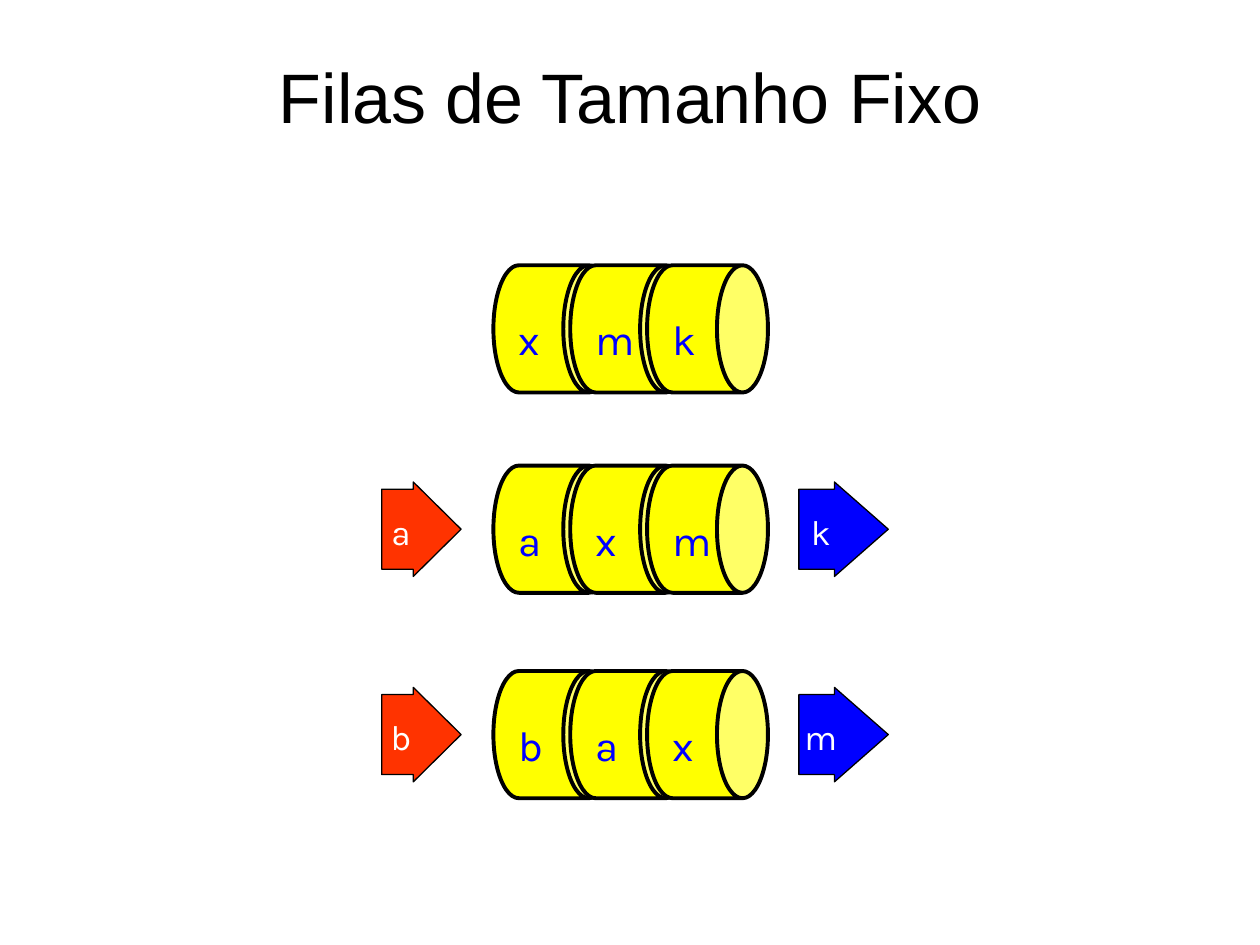
from pptx import Presentation
from pptx.dml.color import RGBColor
from pptx.enum.shapes import MSO_SHAPE
from pptx.enum.text import MSO_ANCHOR, PP_ALIGN
from pptx.util import Inches, Pt

BLACK = RGBColor(0, 0, 0)
WHITE = RGBColor(255, 255, 255)
YELLOW = RGBColor(255, 255, 0)
BLUE = RGBColor(0, 0, 255)
RED = RGBColor(255, 51, 0)

CAN_LEFT, CAN_STEP, CAN_W, CAN_H = 3.89, 0.61, 1.01, 0.96
ARROW_H = 0.75
QUEUES = [
    (2.61, "xmk", None, None),
    (4.2, "axm", "a", "k"),
    (5.83, "bax", "b", "m"),
]


def write(frame, text, size, font, color, space=None):
    frame.vertical_anchor = MSO_ANCHOR.MIDDLE
    para = frame.paragraphs[0]
    para.alignment = PP_ALIGN.CENTER
    para.line_spacing = space
    run = para.add_run()
    run.text = text
    run.font.size = Pt(size)
    run.font.name = font
    run.font.color.rgb = color


def add_title(slide, text):
    box = slide.shapes.add_textbox(Inches(0.5), Inches(0.17), Inches(9), Inches(1.17))
    box.text_frame.word_wrap = True
    write(box.text_frame, text, 40, "Arial", BLACK)


def add_block(shapes, kind, left, mid, width, height, adjust, fill, line):
    shape = shapes.add_shape(
        kind, Inches(left), Inches(mid - height / 2), Inches(width), Inches(height)
    )
    for index, value in enumerate(adjust):
        shape.adjustments[index] = value
    shape.shadow.inherit = False
    shape.fill.solid()
    shape.fill.fore_color.rgb = fill
    shape.line.color.rgb = BLACK
    shape.line.width = Pt(line)
    return shape


def add_can(shapes, left, mid, text):
    can = add_block(shapes, MSO_SHAPE.CAN, left, mid, CAN_W, CAN_H, [0.422], YELLOW, 2.25)
    can.rotation = 90
    frame = can.text_frame
    frame.word_wrap = True
    frame.margin_left = frame.margin_top = frame.margin_bottom = 0
    frame.margin_right = Inches(0.12)
    body = frame._txBody.bodyPr
    body.set("rot", "10800000")
    body.set("vert", "eaVert")
    write(frame, text, 24, "Karla", BLUE, 1.1)


def add_queue(slide, mid, items):
    group = slide.shapes.add_group_shape()
    for index, item in enumerate(items):
        add_can(group.shapes, CAN_LEFT + index * CAN_STEP, mid, item)


def add_arrow(slide, left, mid, width, text, fill):
    arrow = add_block(
        slide.shapes, MSO_SHAPE.RIGHT_ARROW, left, mid, width, ARROW_H,
        [0.847, 0.602], fill, 0.75,
    )
    arrow.text_frame.word_wrap = False
    write(arrow.text_frame, text, 20, "Karla", WHITE, 1.1)


def main():
    deck = Presentation()
    deck.slide_width, deck.slide_height = Inches(10), Inches(7.5)
    slide = deck.slides.add_slide(deck.slide_layouts[6])
    add_title(slide, "Filas de Tamanho Fixo")
    for mid, items, enter, leave in QUEUES:
        add_queue(slide, mid, items)
        if enter:
            add_arrow(slide, 3.03, mid, 0.63, enter, RED)
        if leave:
            add_arrow(slide, 6.34, mid, 0.71, leave, BLUE)
    deck.save("out.pptx")


if __name__ == "__main__":
    main()
